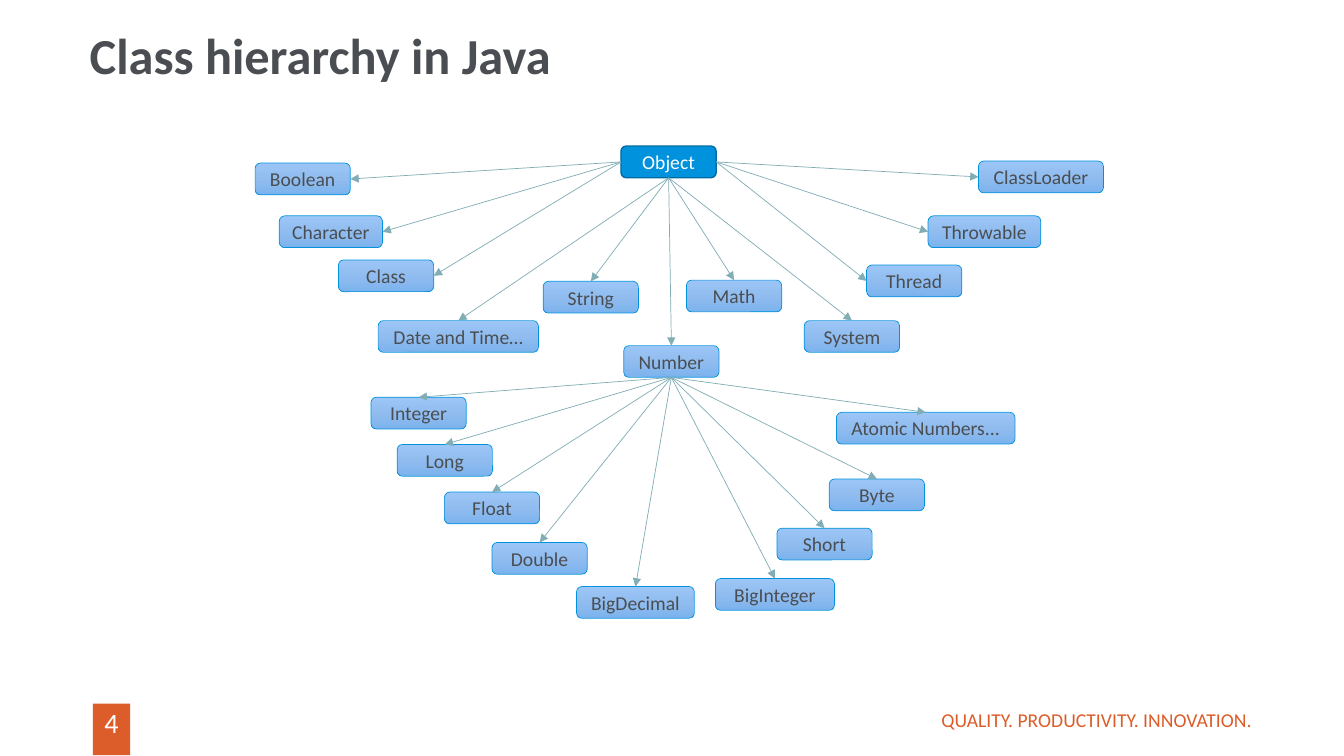
from copy import deepcopy
from dataclasses import dataclass

from lxml import etree
from pptx import Presentation
from pptx.dml.color import RGBColor
from pptx.enum.shapes import MSO_CONNECTOR, MSO_SHAPE
from pptx.enum.text import MSO_ANCHOR, MSO_AUTO_SIZE, PP_ALIGN
from pptx.oxml.ns import qn
from pptx.shapes.autoshape import Shape
from pptx.slide import Slide
from pptx.text.text import TextFrame
from pptx.util import Cm, Pt

STRAIGHT = MSO_CONNECTOR.STRAIGHT
RECTANGLE, ROUNDED = MSO_SHAPE.RECTANGLE, MSO_SHAPE.ROUNDED_RECTANGLE
LEFT, CENTER, RIGHT = PP_ALIGN.LEFT, PP_ALIGN.CENTER, PP_ALIGN.RIGHT
ANCHOR_TOP, ANCHOR_MIDDLE = MSO_ANCHOR.TOP, MSO_ANCHOR.MIDDLE
NO_AUTOFIT = MSO_AUTO_SIZE.NONE
TOP_SIDE, LEFT_SIDE, BOTTOM_SIDE, RIGHT_SIDE = range(4)
TITLE_ONLY_LAYOUT = 5
BOX_HEIGHT = 0.8


@dataclass(frozen=True)
class Theme:
    font: str = "Calibri"
    dark: str = "4A4E52"
    white: str = "FFFFFF"
    accent: str = "DC5D2A"
    root_fill: str = "0092DD"
    root_line: str = "006CA3"
    box_line: str = "0092DD"
    box_gradient: tuple[str, ...] = ("9DC6F7", "90BCEF", "7CB3ED")
    arrow: str = "81ADB5"
    title_size: int = 36
    number_size: int = 20
    text_size: int = 14


@dataclass(frozen=True)
class ClassBox:
    """A class name with its box in centimetres."""
    name: str
    left: float
    top: float
    width: float = 2.4


@dataclass(frozen=True)
class Branch:
    """Arrows from one side of a parent to the same side of each child."""
    parent: str
    parent_side: int
    child_side: int
    children: tuple[str, ...]


THEME = Theme()
ROOT = "Object"

CLASS_BOXES = (
    ClassBox(ROOT, 15.65, 3.68),
    ClassBox("Boolean", 6.43, 4.11),
    ClassBox("Character", 7.04, 5.44, 2.6),
    ClassBox("Class", 8.53, 6.55),
    ClassBox("Date and Time…", 9.53, 8.08, 4.04),
    ClassBox("String", 13.69, 7.09),
    ClassBox("Number", 15.72, 8.71),
    ClassBox("Math", 17.3, 7.06),
    ClassBox("System", 20.27, 8.08),
    ClassBox("Thread", 21.84, 6.68),
    ClassBox("Throwable", 23.39, 5.44, 2.84),
    ClassBox("ClassLoader", 24.66, 4.06, 3.15),
    ClassBox("Integer", 9.35, 10.01),
    ClassBox("Long", 10.01, 11.2),
    ClassBox("Float", 11.2, 12.4),
    ClassBox("Double", 12.4, 13.67),
    ClassBox("BigDecimal", 14.53, 14.78, 2.97),
    ClassBox("BigInteger", 18.03, 14.58, 3.0),
    ClassBox("Short", 19.58, 13.31),
    ClassBox("Byte", 20.9, 12.07),
    ClassBox("Atomic Numbers...", 21.08, 10.39, 4.5),
)

BRANCHES = (
    Branch(ROOT, LEFT_SIDE, RIGHT_SIDE, ("Boolean", "Character", "Class")),
    Branch(ROOT, BOTTOM_SIDE, TOP_SIDE,
           ("Date and Time…", "String", "Number", "Math", "System")),
    Branch(ROOT, RIGHT_SIDE, LEFT_SIDE, ("Thread", "Throwable", "ClassLoader")),
    Branch("Number", BOTTOM_SIDE, TOP_SIDE,
           ("Integer", "Long", "Float", "Double", "BigDecimal",
            "BigInteger", "Short", "Byte", "Atomic Numbers...")),
)


def color(value: str) -> RGBColor:
    return RGBColor.from_string(value)


def write_text(frame: TextFrame, text: str, size: int, text_color: str,
               alignment: PP_ALIGN, anchor: MSO_ANCHOR) -> None:
    """Set one paragraph, without insets or autofit."""
    frame.text = text
    frame.auto_size = NO_AUTOFIT
    frame.vertical_anchor = anchor
    frame.margin_left = frame.margin_right = 0
    frame.margin_top = frame.margin_bottom = 0
    para = frame.paragraphs[0]
    para.alignment = alignment
    para.font.name = THEME.font
    para.font.size = Pt(size)
    para.font.color.rgb = color(text_color)


def fill_gradient(box: Shape) -> None:
    """Fill from top to bottom with evenly spaced theme colours."""
    box.fill.gradient()
    box.fill.gradient_angle = 270
    stop_list = box.element.spPr.find(".//" + qn("a:gsLst"))
    stop_list.insert(1, deepcopy(stop_list[0]))
    last = len(THEME.box_gradient) - 1
    for index, stop in enumerate(box.fill.gradient_stops):
        stop.position = index / last
        stop.color.rgb = color(THEME.box_gradient[index])


def add_class_box(page: Slide, item: ClassBox) -> Shape:
    box = page.shapes.add_shape(ROUNDED, Cm(item.left), Cm(item.top),
                                Cm(item.width), Cm(BOX_HEIGHT))
    box.shadow.inherit = False
    is_root = item.name == ROOT
    if is_root:
        box.fill.solid()
        box.fill.fore_color.rgb = color(THEME.root_fill)
    else:
        fill_gradient(box)
    box.line.color.rgb = color(THEME.root_line if is_root else THEME.box_line)
    box.line.width = Pt(1 if is_root else 0.5)
    write_text(box.text_frame, item.name, THEME.text_size,
               THEME.white if is_root else THEME.dark, CENTER, ANCHOR_MIDDLE)
    return box


def add_branch(page: Slide, branch: Branch, boxes: dict[str, Shape]) -> None:
    for child in branch.children:
        arrow = page.shapes.add_connector(STRAIGHT, 0, 0, 0, 0)
        arrow.begin_connect(boxes[branch.parent], branch.parent_side)
        arrow.end_connect(boxes[child], branch.child_side)
        arrow.line.color.rgb = color(THEME.arrow)
        arrow.line.width = Pt(0.5)
        properties = arrow.element.spPr
        etree.SubElement(properties.find(qn("a:ln")), qn("a:tailEnd"), type="triangle")
        etree.SubElement(properties, qn("a:effectLst"))


def add_title(page: Slide) -> None:
    title = page.shapes.title
    title.left, title.top = Cm(2.26), Cm(0.66)
    title.width, title.height = Cm(23.65), Cm(3.02)
    frame = title.text_frame
    write_text(frame, "Class hierarchy in Java", THEME.title_size,
               THEME.dark, LEFT, ANCHOR_TOP)
    frame.margin_top = frame.margin_bottom = Cm(0.13)
    frame.margin_right = Cm(0.25)
    frame.paragraphs[0].font.bold = True
    frame.paragraphs[0].line_spacing = 0.9


def add_footer(page: Slide) -> None:
    badge = page.shapes.add_shape(RECTANGLE, Cm(2.34), Cm(17.73), Cm(0.94), Cm(1.3))
    badge.shadow.inherit = False
    badge.fill.solid()
    badge.fill.fore_color.rgb = color(THEME.accent)
    badge.line.fill.background()
    write_text(badge.text_frame, "4", THEME.number_size, THEME.white, CENTER, ANCHOR_TOP)
    badge.text_frame.margin_top = Cm(0.05)

    motto = page.shapes.add_textbox(Cm(21.21), Cm(17.63), Cm(10.34), Cm(1.02))
    motto.text_frame.word_wrap = True
    write_text(motto.text_frame, "QUALITY. PRODUCTIVITY. INNOVATION.",
               THEME.text_size, THEME.accent, RIGHT, ANCHOR_MIDDLE)


def main() -> None:
    deck = Presentation()
    deck.slide_width, deck.slide_height = Cm(33.87), Cm(19.05)
    page = deck.slides.add_slide(deck.slide_layouts[TITLE_ONLY_LAYOUT])
    add_title(page)
    add_footer(page)
    boxes = {item.name: add_class_box(page, item) for item in CLASS_BOXES}
    for branch in BRANCHES:
        add_branch(page, branch, boxes)
    deck.save("out.pptx")


if __name__ == "__main__":
    main()
